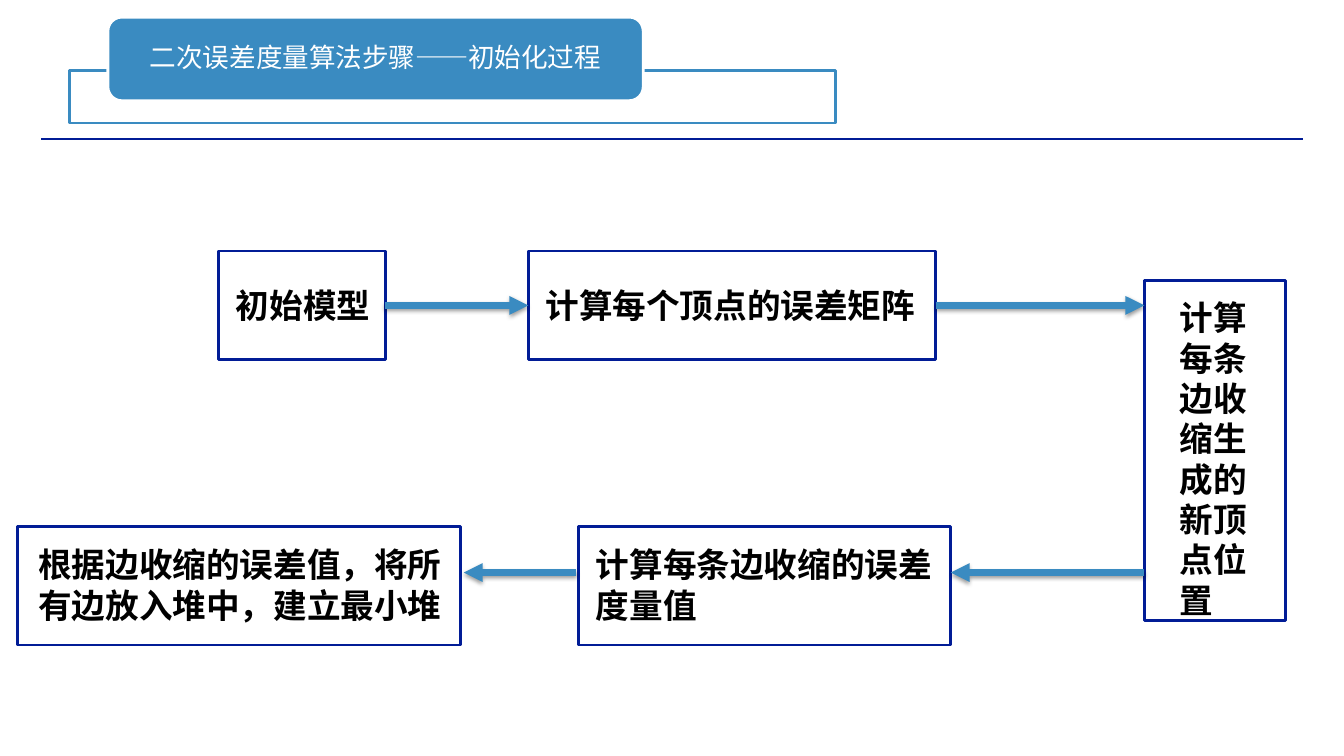
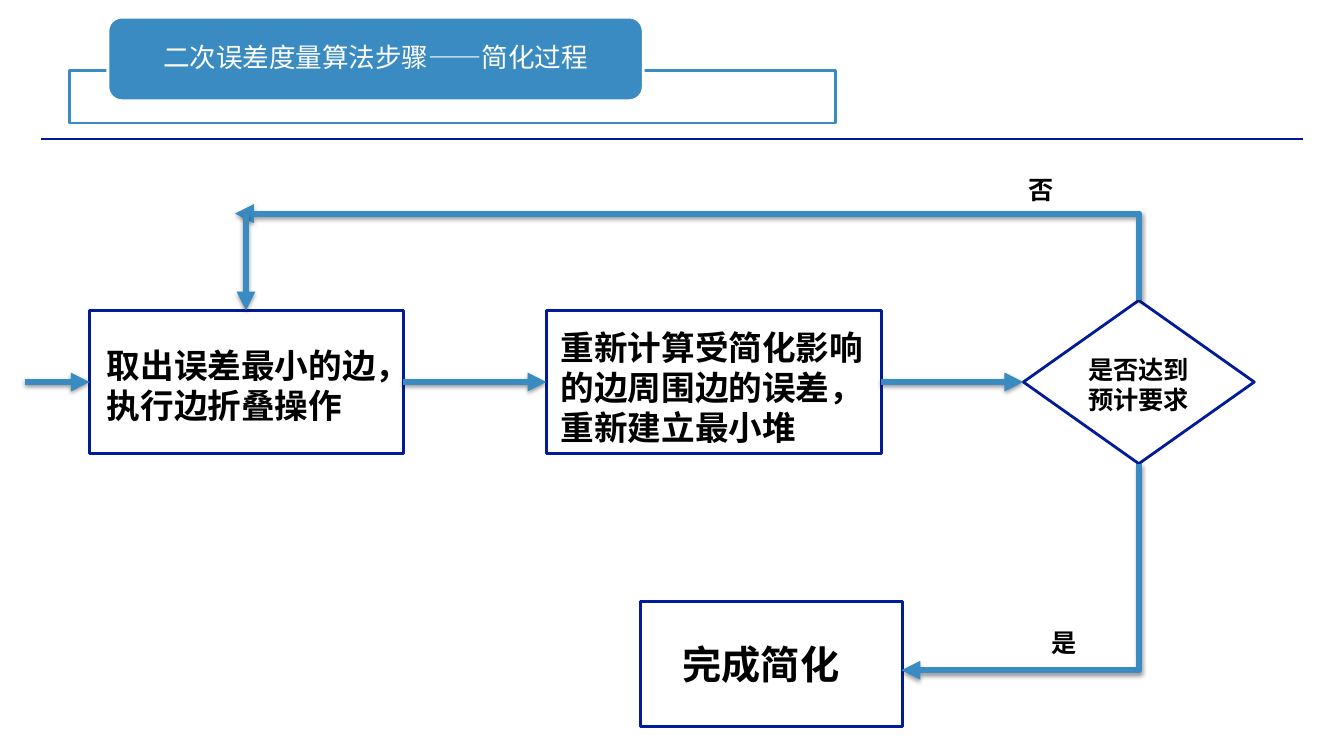
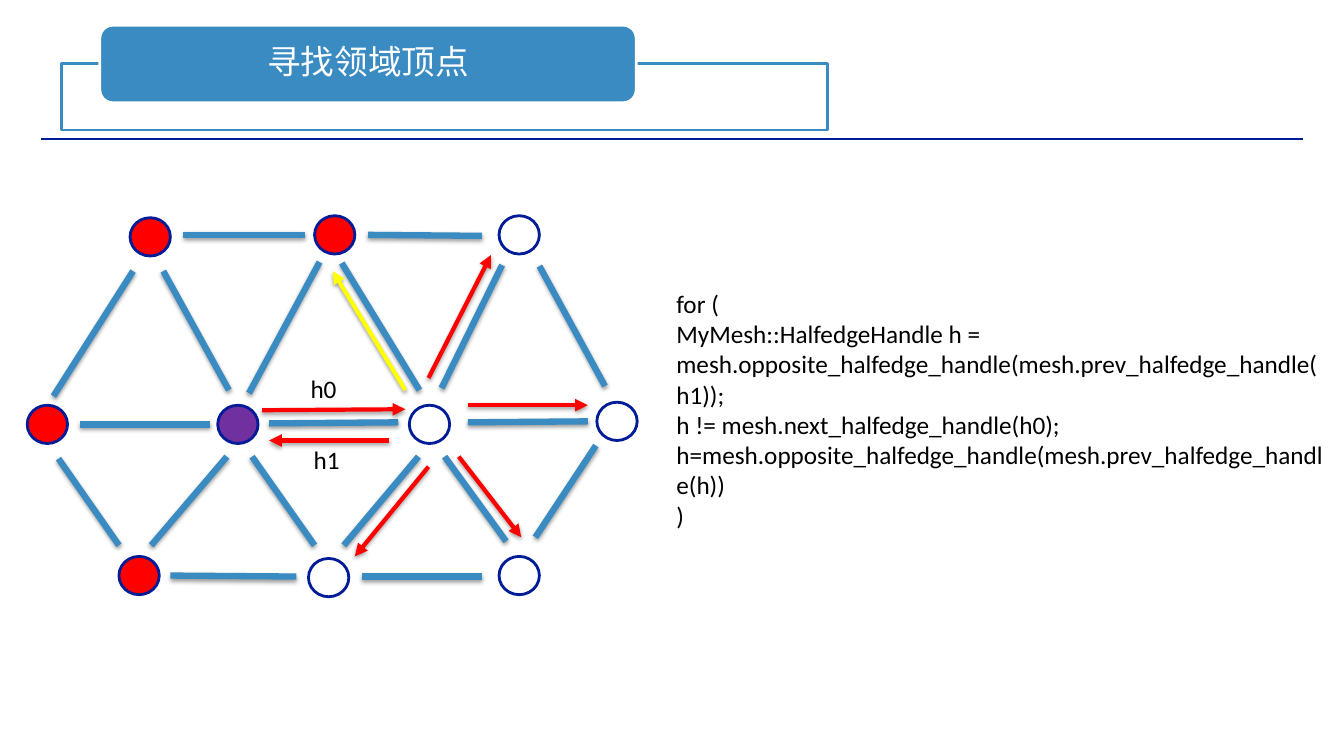
"""Builds three slides on mesh simplification by quadric error metrics."""
from dataclasses import dataclass

from lxml import etree
from pptx import Presentation
from pptx.dml.color import RGBColor
from pptx.enum.shapes import MSO_CONNECTOR, MSO_SHAPE
from pptx.enum.text import MSO_ANCHOR, PP_ALIGN
from pptx.oxml.ns import qn
from pptx.util import Inches, Pt

RECT, ROUNDED = MSO_SHAPE.RECTANGLE, MSO_SHAPE.ROUNDED_RECTANGLE
DIAMOND, OVAL = MSO_SHAPE.DIAMOND, MSO_SHAPE.OVAL
STRAIGHT = MSO_CONNECTOR.STRAIGHT
ELBOW = MSO_CONNECTOR.ELBOW
TOP, MIDDLE = MSO_ANCHOR.TOP, MSO_ANCHOR.MIDDLE
LEFT, CENTER = PP_ALIGN.LEFT, PP_ALIGN.CENTER


@dataclass(frozen=True)
class Theme:
    """Colours, font and sizes shared by the slides."""

    font: str = "Calibri"
    white: str = "FFFFFF"
    black: str = "000000"
    navy: str = "011C96"
    blue: str = "3A8BC1"
    red: str = "FF0000"
    yellow: str = "FFFF00"
    purple: str = "7030A0"
    long_title: int = 19
    title: int = 24
    step: int = 24
    finish: int = 28
    small: int = 18
    outline: float = 2
    rule: float = 1.5
    thick: float = 4.5
    medium: float = 3


THEME = Theme()


def rgb(colour):
    """Turns a hex string into a colour."""
    return RGBColor.from_string(colour)


def write(frame, text, size, colour=THEME.black, bold=False, align=LEFT,
          anchor=TOP, insets=(0.05, 0.05, 0.05, 0.05)):
    """Fills a text frame and formats its runs."""
    frame.text = text
    frame.word_wrap = True
    frame.vertical_anchor = anchor
    (frame.margin_left, frame.margin_top,
     frame.margin_right, frame.margin_bottom) = map(Inches, insets)
    for paragraph in frame.paragraphs:
        paragraph.alignment = align
        for run in paragraph.runs:
            run.font.name = THEME.font
            run.font.size = Pt(size)
            run.font.bold = bold
            run.font.color.rgb = rgb(colour)


def add_outline(slide, kind, box, fill=None, line=THEME.navy):
    """Adds a preset shape with an outline and an optional fill."""
    shape = slide.shapes.add_shape(kind, *map(Inches, box))
    shape.shadow.inherit = False
    if fill:
        shape.fill.solid()
        shape.fill.fore_color.rgb = rgb(fill)
    else:
        shape.fill.background()
    shape.line.color.rgb = rgb(line)
    shape.line.width = Pt(THEME.outline)
    return shape


def add_label(slide, text, box, size=THEME.small, bold=False, inset=0.05):
    """Adds free-standing text."""
    label = slide.shapes.add_textbox(*map(Inches, box))
    write(label.text_frame, text, size, bold=bold, insets=(inset, 0.05) * 2)


def add_step(slide, text, box, left, top, right=0.05, size=THEME.step, kind=RECT):
    """Adds a flow chart step with its text set in from the edges."""
    step = add_outline(slide, kind, box)
    write(step.text_frame, text, size, bold=True, insets=(left, top, right, 0))


def add_line(slide, points, colour=THEME.blue, width=THEME.thick,
             arrow=None, shadow=True, kind=STRAIGHT):
    """Adds a connector; arrow is headEnd, tailEnd or None."""
    line = slide.shapes.add_connector(kind, *map(Inches, points))
    line.line.color.rgb = rgb(colour)
    line.line.width = Pt(width)
    properties = line.element.spPr
    if arrow:
        etree.SubElement(properties.find(qn("a:ln")), qn(f"a:{arrow}"), type="triangle")
    effects = etree.SubElement(properties, qn("a:effectLst"))
    if shadow:
        cast = etree.SubElement(
            effects, qn("a:outerShdw"), blurRad=str(Pt(3)), dist=str(Pt(1.6)),
            dir="5400000", rotWithShape="0")
        tint = etree.SubElement(cast, qn("a:srgbClr"), val=THEME.black)
        etree.SubElement(tint, qn("a:alpha"), val="38000")
    return line


def add_arrow(slide, points, colour=THEME.blue, width=THEME.thick):
    """Adds a straight arrow."""
    add_line(slide, points, colour, width, "tailEnd")


def add_corner_arrow(slide, tip, start):
    """Adds an arrow that leaves start vertically and reaches tip horizontally."""
    corner = add_line(slide, (*tip, *start), arrow="headEnd", kind=ELBOW)
    corner.element.spPr.find(qn("a:prstGeom")).set("prst", "bentConnector2")


def start_slide(deck, title, size=THEME.long_title, panel=(0.69, 0.7, 7.6, 0.52),
                tab=(1.07, 0.17, 5.31, 0.83)):
    """Adds a blank slide with the rule and the title tab."""
    slide = deck.slides.add_slide(deck.slide_layouts[6])
    add_line(slide, (0.41, 1.38, 12.92, 1.38), THEME.navy, THEME.rule, shadow=False)
    add_outline(slide, RECT, panel, THEME.white, THEME.blue)
    heading = add_outline(slide, ROUNDED, tab, THEME.blue, THEME.white).text_frame
    write(heading, title, size, THEME.white, align=CENTER, anchor=MIDDLE,
          insets=(0.2, 0, 0.2, 0))
    heading.paragraphs[0].line_spacing = 0.9
    return slide


def build_initialisation(deck):
    """Builds the flow of the initialisation."""
    slide = start_slide(deck, "二次误差度量算法步骤——初始化过程")
    add_step(slide, "初始模型", (2.17, 2.49, 1.65, 1.08), 0.17, 0.34)
    add_step(slide, "计算每个顶点的误差矩阵", (5.24, 2.49, 4.04, 1.08), 0.17, 0.34)
    add_step(slide, "计算每条边收缩生成的新顶点位置", (11.35, 2.78, 1.4, 3.38),
             0.35, 0.17, 0.19)
    add_step(slide, "计算每条边收缩的误差度量值", (5.74, 5.22, 3.69, 1.18), 0.17, 0.18)
    add_step(slide, "根据边收缩的误差值，将所有边放入堆中，建立最小堆",
             (0.17, 5.22, 4.4, 1.18), 0.21, 0.18)
    for start, end, y in ((3.82, 5.24, 3.03), (9.28, 11.35, 3.03),
                          (11.35, 9.43, 5.68), (5.71, 4.6, 5.68)):
        add_arrow(slide, (start, y, end, y))


def build_simplification(deck):
    """Builds the loop of the simplification."""
    slide = start_slide(deck, "二次误差度量算法步骤——简化过程")
    add_step(slide, "取出误差最小的边，执行边折叠操作", (0.89, 3.08, 3.11, 1.42), 0.17, 0.34)
    add_step(slide, "重新计算受简化影响的边周围边的误差，重新建立最小堆",
             (5.42, 3.08, 3.32, 1.42), 0.14, 0.16)
    add_step(slide, "是否达到预计要求", (10.15, 2.98, 2.29, 1.62), 0.07, 0.13,
             size=THEME.small, kind=DIAMOND)
    add_step(slide, "完成简化", (6.35, 5.97, 2.6, 1.24), 0.42, 0.38, size=THEME.finish)
    for start, end in ((0.25, 0.89), (4, 5.42), (8.74, 10.15)):
        add_arrow(slide, (start, 3.79, end, 3.79))
    add_corner_arrow(slide, (8.94, 6.65), (11.3, 4.6))
    add_corner_arrow(slide, (2.33, 2.12), (11.3, 2.98))
    add_arrow(slide, (2.44, 2.12, 2.44, 3.08))
    add_label(slide, "是", (10.38, 6.17, 0.71, 0.4), bold=True)
    add_label(slide, "否", (10.15, 1.68, 0.71, 0.4), bold=True)


def build_neighbours(deck):
    """Builds the mesh and the loop over neighbouring vertices."""
    slide = start_slide(deck, "寻找领域顶点", THEME.title, (0.61, 0.63, 7.6, 0.66),
                        (0.99, 0.25, 5.32, 0.77))
    vertices = (
        (0.27, 4.02, THEME.red), (1.29, 2.16, THEME.red), (1.18, 5.52, THEME.red),
        (3.12, 2.14, THEME.red), (2.16, 4.02, THEME.purple), (5.92, 3.99, None),
        (4.95, 2.14, None), (4.06, 4.02, None), (3.06, 5.54, None), (4.95, 5.52, None),
    )
    for x, y, fill in vertices:
        add_outline(slide, OVAL, (x, y, 0.4, 0.38), fill)
    edges = (
        (1.82, 2.33, 3.03, 2.33), (3.65, 2.33, 4.78, 2.34), (0.79, 4.21, 2.08, 4.21),
        (2.67, 4.2, 3.95, 4.19), (4.64, 4.19, 5.83, 4.18), (1.69, 5.71, 2.94, 5.72),
        (3.59, 5.72, 4.78, 5.72), (0.53, 3.93, 1.32, 2.69), (2.47, 3.9, 3.17, 2.6),
        (4.38, 3.85, 4.98, 2.63), (1.5, 5.41, 2.25, 4.53), (5.31, 5.33, 5.91, 4.42),
        (3.41, 5.41, 4.15, 4.53), (0.58, 4.55, 1.18, 5.41), (2.27, 3.87, 1.62, 2.69),
        (3.39, 2.61, 4.16, 3.87), (6, 3.83, 5.35, 2.64), (3.12, 5.41, 2.5, 4.53),
        (5.02, 5.37, 4.41, 4.53),
    )
    for edge in edges:
        add_line(slide, edge)
    halfedges = (
        (2.6, 4.07, 4.02, 4.06), (3.86, 4.37, 2.67, 4.37), (4.25, 4.63, 3.52, 5.52),
        (4.55, 4.53, 5.17, 5.33), (4.64, 4.02, 5.83, 4.02), (4.25, 3.75, 4.87, 2.53),
    )
    for halfedge in halfedges:
        add_arrow(slide, halfedge, THEME.red, THEME.medium)
    add_arrow(slide, (4.02, 3.87, 3.3, 2.69), THEME.yellow, THEME.medium)
    add_label(slide, "h0", (3.03, 3.65, 0.52, 0.4))
    add_label(slide, "h1", (3.06, 4.36, 0.52, 0.4))
    loop = (
        "for (",
        "MyMesh::HalfedgeHandle h = "
        "mesh.opposite_halfedge_handle(mesh.prev_halfedge_handle(h1));",
        "h != mesh.next_halfedge_handle(h0);",
        "h=mesh.opposite_halfedge_handle(mesh.prev_halfedge_handle(h))",
        ")",
    )
    add_label(slide, "\n".join(loop), (6.61, 2.81, 6.68, 2.52), inset=0.1)


def main():
    """Builds and saves the slides."""
    deck = Presentation()
    deck.slide_width, deck.slide_height = Inches(13.33), Inches(7.5)
    build_initialisation(deck)
    build_simplification(deck)
    build_neighbours(deck)
    deck.save("out.pptx")


if __name__ == "__main__":
    main()
